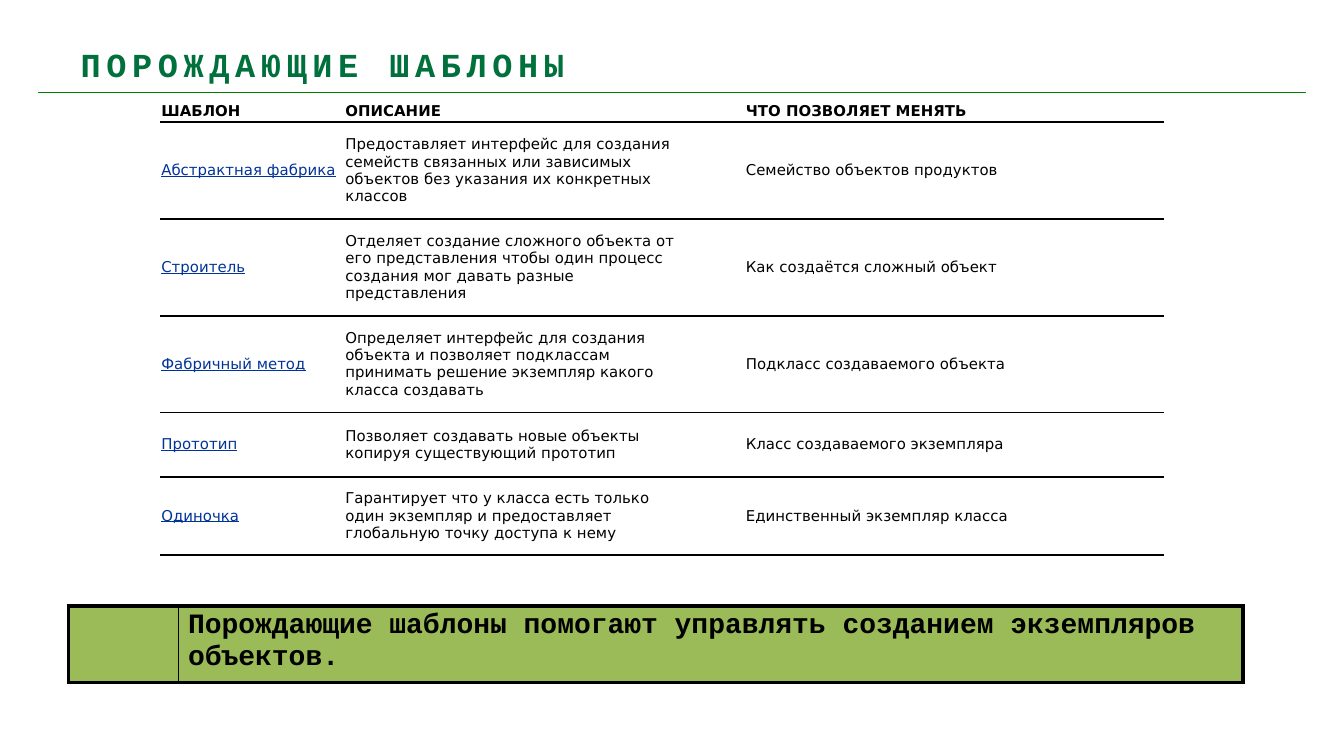
import pptx
import pptx.util
import pptx.dml.color
import pptx.enum.shapes
import pptx.enum.text
from dataclasses import dataclass, field
from lxml import etree
from pptx.util import Inches

NS = "{http://schemas.openxmlformats.org/drawingml/2006/main}"


@dataclass(frozen=True)
class Style:
    font: str
    size: float
    color: str
    bold: bool = False
    line: bool = False


@dataclass(frozen=True)
class Theme:
    title: Style = Style("Courier New", 18, "00703C", True)
    head: Style = Style("DejaVu Sans", 8, "000000", True)
    name: Style = Style("DejaVu Sans", 8, "003399", line=True)
    body: Style = Style("DejaVu Sans", 8, "000000")
    note: Style = Style("Courier New", 15, "000000", True)
    rule: str = "008000"
    edge: str = "000000"
    band: str = "9BBB59"


@dataclass(frozen=True)
class Cell:
    text: str
    style: Style
    edges: dict[str, float] = field(default_factory=dict)
    fill: str = ""
    pad: tuple[float, float] = (0.01, 0.01)
    middle: bool = True


@dataclass(frozen=True)
class Row:
    high: float
    name: str
    about: str
    change: str


THEME = Theme()
ROWS = [
    Row(0.16, "ШАБЛОН", "ОПИСАНИЕ", "ЧТО ПОЗВОЛЯЕТ МЕНЯТЬ"),
    Row(0.72, "Абстрактная фабрика",
        "Предоставляет интерфейс для создания семейств связанных или "
        "зависимых объектов без указания их конкретных классов",
        "Семейство объектов продуктов"),
    Row(0.72, "Строитель",
        "Отделяет создание сложного объекта от его представления чтобы "
        "один процесс создания мог давать разные представления",
        "Как создаётся сложный объект"),
    Row(0.72, "Фабричный метод",
        "Определяет интерфейс для создания объекта и позволяет подклассам "
        "принимать решение экземпляр какого класса создавать",
        "Подкласс создаваемого объекта"),
    Row(0.48, "Прототип",
        "Позволяет создавать новые объекты копируя существующий прототип",
        "Класс создаваемого экземпляра"),
    Row(0.58, "Одиночка",
        "Гарантирует что у класса есть только один экземпляр и "
        "предоставляет глобальную точку доступа к нему",
        "Единственный экземпляр класса"),
]
NOTE = "Порождающие шаблоны помогают управлять созданием экземпляров объектов."


def rgb(code: str) -> pptx.dml.color.RGBColor:
    return pptx.dml.color.RGBColor.from_string(code)


def write(para, text: str, style: Style):
    run = para.add_run()
    run.text = text
    font = run.font
    font.name, font.size = style.font, pptx.util.Pt(style.size)
    font.bold, font.underline = style.bold, style.line
    font.color.rgb = rgb(style.color)
    return run


def border(cell, edges: dict[str, float]) -> None:
    props = cell._tc.get_or_add_tcPr()
    for spot, side in enumerate("LRTB"):
        width = edges.get(side, 0)
        line = etree.Element(f"{NS}ln{side}", w=str(pptx.util.Pt(width)))
        if width:
            fill = etree.SubElement(line, f"{NS}solidFill")
            etree.SubElement(fill, f"{NS}srgbClr", val=THEME.edge)
        else:
            etree.SubElement(line, f"{NS}noFill")
        props.insert(spot, line)


def paint(cell, data: Cell) -> None:
    across, down = data.pad
    cell.margin_left = cell.margin_right = Inches(across)
    cell.margin_top = cell.margin_bottom = Inches(down)
    anchor = pptx.enum.text.MSO_ANCHOR
    cell.vertical_anchor = anchor.MIDDLE if data.middle else anchor.TOP
    if data.fill:
        cell.fill.solid()
        cell.fill.fore_color.rgb = rgb(data.fill)
    else:
        cell.fill.background()
    border(cell, data.edges)
    para = cell.text_frame.paragraphs[0]
    if data.text:
        write(para, data.text, data.style)
    else:
        size = str(int(data.style.size * 100))
        etree.SubElement(para._p, f"{NS}endParaRPr", sz=size)


def grid(slide, left: float, top: float, cols: list[float],
         highs: list[float], cells: list[list[Cell]]) -> None:
    table = slide.shapes.add_table(
        len(highs), len(cols), Inches(left), Inches(top),
        Inches(sum(cols)), Inches(sum(highs))).table
    table.first_row = table.horz_banding = False
    for col, width in zip(table.columns, cols):
        col.width = Inches(width)
    for row, high, items in zip(table.rows, highs, cells):
        row.height = Inches(high)
        for cell, data in zip(row.cells, items):
            paint(cell, data)


def head(slide) -> None:
    title = slide.shapes.title
    title.left, title.top = Inches(0.5), Inches(0.28)
    title.width, title.height = Inches(8.12), Inches(0.28)
    frame = title.text_frame
    frame.auto_size = pptx.enum.text.MSO_AUTO_SIZE.NONE
    frame.vertical_anchor = pptx.enum.text.MSO_ANCHOR.TOP
    frame.margin_top, frame.margin_bottom = Inches(0.05), 0
    para = frame.paragraphs[0]
    para.alignment = pptx.enum.text.PP_ALIGN.LEFT
    run = write(para, "ПОРОЖДАЮЩИЕ ШАБЛОНЫ", THEME.title)
    run.font._element.set("spc", "300")


def rule(slide) -> None:
    line = slide.shapes.add_connector(
        pptx.enum.shapes.MSO_CONNECTOR.STRAIGHT,
        Inches(0.28), Inches(0.69), Inches(9.72), Inches(0.69))
    line.line.color.rgb = rgb(THEME.rule)
    line.line.width = pptx.util.Pt(0.75)
    etree.SubElement(line._element.spPr, f"{NS}effectLst")


def cells(spot: int, row: Row) -> list[Cell]:
    first = spot == 0
    edges = {"B": 1} if first else {"T": 1, "B": 1}
    name = THEME.head if first else THEME.name
    body = THEME.head if first else THEME.body
    return [Cell(row.name, name, edges), Cell(row.about, body, edges),
            Cell("", body, edges), Cell(row.change, body, edges)]


def main() -> None:
    deck = pptx.Presentation()
    deck.slide_width = Inches(10)
    deck.slide_height = deck.slide_width * 9 // 16
    slide = deck.slides.add_slide(deck.slide_layouts[5])
    rule(slide)
    head(slide)
    grid(slide, 1.19, 0.75, [1.37, 2.52, 0.46, 3.12],
         [row.high for row in ROWS],
         [cells(spot, row) for spot, row in enumerate(ROWS)])
    frame = {"T": 2.25, "B": 2.25}
    pad = (0.07, 0.03)
    grid(slide, 0.51, 4.51, [0.82, 7.92], [0.57], [[
        Cell("", THEME.note, frame | {"L": 2.25, "R": 0.5},
             THEME.band, pad, False),
        Cell(NOTE, THEME.note, frame | {"L": 0.5, "R": 2.25},
             THEME.band, pad, False)]])
    deck.save("out.pptx")


if __name__ == "__main__":
    main()
